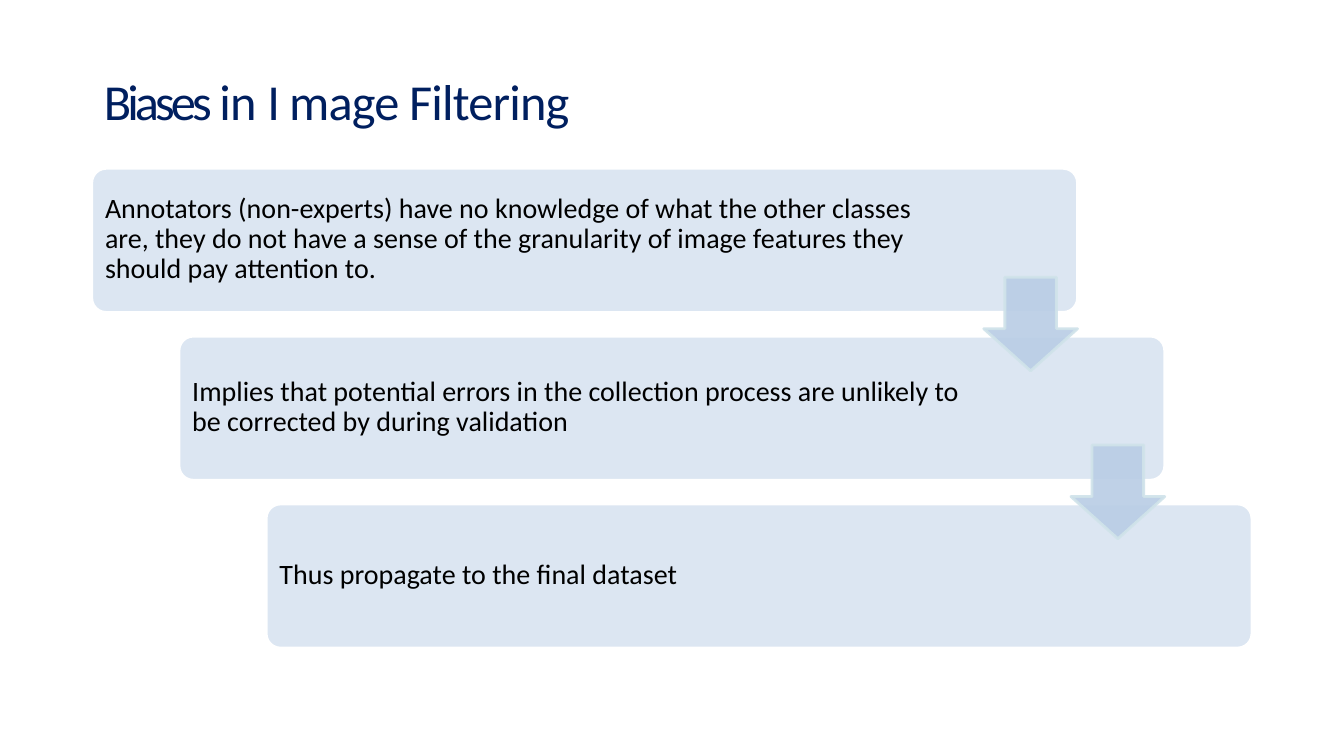
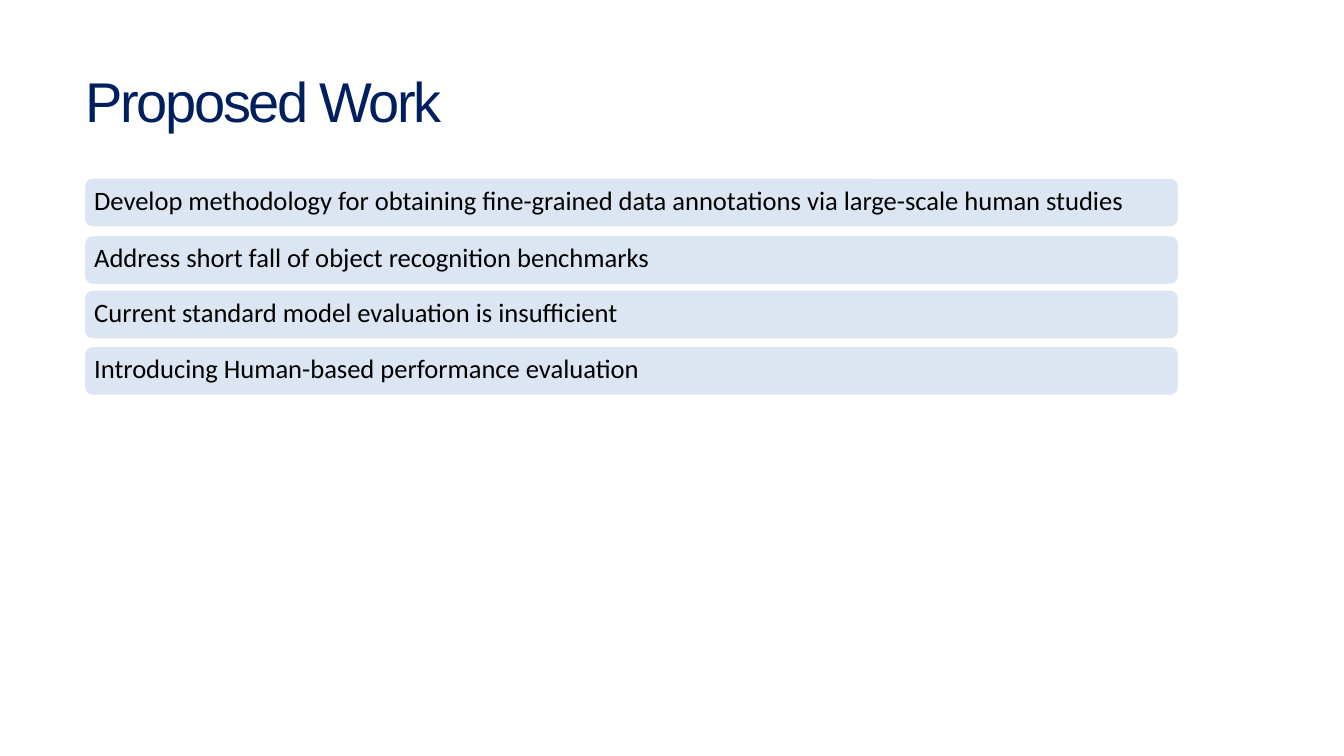
from lxml import etree
from pptx import Presentation, util as u
from pptx.dml.color import RGBColor
from pptx.enum import shapes, text
from pptx.oxml.ns import qn

# Shared style; 100 px to the inch
SCALE = 9144
NAVY, PALE, WHITE, BLACK = "001F5F", "DCE6F2", "FFFFFF", "000000"
ARROW_FILL, ARROW_LINE = "B9CDE5", "D0E3EA"
BODY_FONT = "Calibri"


def px(length):
    return u.Emu(round(length * SCALE))


def paint(color_format, color, opacity=100):
    color_format.rgb = RGBColor.from_string(color)
    if opacity < 100:
        clr = color_format._xFill.find(qn("a:srgbClr"))
        etree.SubElement(clr, qn("a:alpha")).set("val", str(opacity * 1000))


def set_font(span, name, size, color):
    span.font.name = name
    span.font.size = u.Pt(size)
    paint(span.font.color, color)


def set_frame(frame, insets, anchor):
    frame.word_wrap = True
    frame.auto_size = text.MSO_AUTO_SIZE.NONE
    frame.vertical_anchor = anchor
    (frame.margin_left, frame.margin_top,
     frame.margin_right, frame.margin_bottom) = map(px, insets)


def add_preset(page, kind, box, fill, line, adjustments, opacity=100):
    shape = page.shapes.add_shape(kind, *map(px, box))
    shape.shadow.inherit = False
    for index, value in enumerate(adjustments):
        shape.adjustments[index] = value
    shape.fill.solid()
    paint(shape.fill.fore_color, fill, opacity)
    shape.line.fill.solid()
    paint(shape.line.color, line, opacity)
    shape.line.width = u.Pt(2)
    return shape


def add_card(page, box, words, size, insets, corner):
    card = add_preset(page, shapes.MSO_SHAPE.ROUNDED_RECTANGLE, box,
                      PALE, WHITE, [corner])
    set_frame(card.text_frame, insets, text.MSO_ANCHOR.MIDDLE)
    para = card.text_frame.paragraphs[0]
    para.text = words
    para.alignment = text.PP_ALIGN.LEFT
    para.line_spacing = 0.9
    set_font(para.runs[0], BODY_FONT, size, BLACK)


def add_page(deck, box, insets, font, size, parts):
    """Title-only page; parts are (words, letter spacing in points)."""
    page = deck.slides.add_slide(deck.slide_layouts[5])
    title = page.shapes.title
    title.left, title.top, title.width, title.height = map(px, box)
    set_frame(title.text_frame, insets, text.MSO_ANCHOR.TOP)
    para = title.text_frame.paragraphs[0]
    para.alignment = text.PP_ALIGN.LEFT
    for words, spacing in parts:
        span = para.add_run()
        span.text = words
        set_font(span, font, size, NAVY)
        span.font._element.set("spc", str(round(spacing * 100)))
    return page


def add_staircase(page, box, steps):
    """Cards stepping down to the right, joined by arrows."""
    left, top, width, height = box
    card_width, card_height, arrow = 978, 143, 93
    gaps = len(steps) - 1
    step_x = (width - card_width) / gaps
    step_y = (height - card_height) / gaps
    for index, (words, right_inset) in enumerate(steps):
        add_card(page, (left + index * step_x, top + index * step_y,
                        card_width, card_height),
                 words, 20, (9, 7, right_inset, 9), 0.1)
    for index in range(gaps):
        add_preset(page, shapes.MSO_SHAPE.DOWN_ARROW,
                   (left + card_width - arrow + index * step_x,
                    top + 108 + index * step_y, arrow, arrow),
                   ARROW_FILL, ARROW_LINE, [0.55, 0.45], 90)


def add_list(page, box, rows):
    """Full-width cards; rows are (offset from the top, words)."""
    left, top, width, card_height = box
    for offset, words in rows:
        add_card(page, (left, top + offset, width, card_height),
                 words, 19, (8, 3, 8, 5), 0.17)


def main():
    deck = Presentation()
    deck.slide_width, deck.slide_height = u.Inches(13.333), u.Inches(7.5)

    # Biases
    page = add_page(deck, (91, 65, 617, 72), (12, 5, 10, 5), BODY_FONT, 36,
                    [("Biases ", -2.8), ("in ", -0.5), ("I ", -1.6),
                     ("mage Filtering", -0.6)])
    add_staircase(page, (91, 167, 1151, 476), [
        ("Annotators (non-experts) have no knowledge of what the other "
         "classes are, they do not have a sense of the granularity of image "
         "features they should pay attention to.", 150),
        ("Implies that potential errors in the collection process are "
         "unlikely to be corrected by during validation", 188),
        ("Thus propagate to the final dataset", 188)])

    # Proposed work
    page = add_page(deck, (83, 65, 483, 69), (2, 1, 0, 0), "Arial", 40,
                    [("Proposed Work", -1.7)])
    add_list(page, (83, 176, 1087, 50), [
        (0, "Develop methodology for obtaining fine-grained data annotations "
            "via large-scale human studies"),
        (57, "Address short fall of object recognition benchmarks"),
        (111, "Current standard model evaluation is insufficient"),
        (167, "Introducing Human-based performance evaluation")])

    deck.save("out.pptx")


if __name__ == "__main__":
    main()
